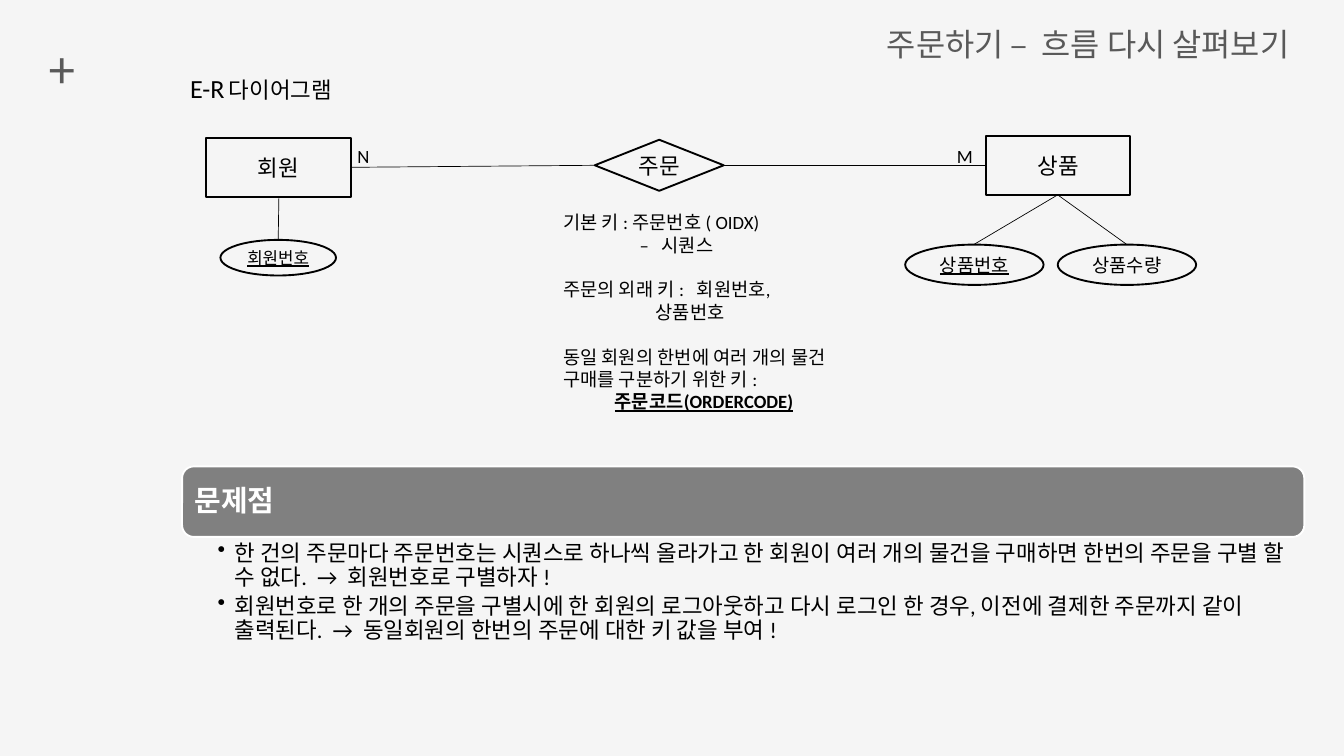
import pptx
import pptx.dml.color
import pptx.enum.shapes
import pptx.enum.text
import pptx.oxml
import pptx.oxml.ns
import pptx.util

RGBColor = pptx.dml.color.RGBColor
SHAPES = pptx.enum.shapes.MSO_SHAPE
ALIGN = pptx.enum.text.PP_ALIGN
ANCHOR = pptx.enum.text.MSO_ANCHOR

BACKGROUND = RGBColor(0xF5, 0xF5, 0xF5)
BLACK = RGBColor(0, 0, 0)
WHITE = RGBColor(0xFF, 0xFF, 0xFF)
GRAY = RGBColor(0x80, 0x80, 0x80)
TITLE_GRAY = RGBColor(0x59, 0x59, 0x59)
BODY_FONT = "Calibri"
TITLE_FONT = "Noto Sans CJK KR"

EMU_PER_PX = 9144  # 100 px to the inch

BULLETS = [
    "한 건의 주문마다 주문번호는 시퀀스로 하나씩 올라가고 한 회원이 여러 개의 물건을 "
    "구매하면 한번의 주문을 구별 할 수 없다.  →  회원번호로 구별하자 !",
    "회원번호로 한 개의 주문을 구별시에 한 회원의 로그아웃하고 다시 로그인 한 경우, "
    "이전에 결제한 주문까지 같이 출력된다.  →  동일회원의 한번의 주문에 대한 키 값을 부여 !",
]

# text, left indent in px, space before in points, emphasised
KEY_NOTES = [
    ("기본 키 : 주문번호 ( OIDX)", 0, 0, False),
    ("–   시퀀스", 114, 0, False),
    ("주문의 외래 키 :   회원번호,", 0, 24, False),
    ("상품번호", 138, 0, False),
    ("동일 회원의 한번에 여러 개의 물건 구매를 구분하기 위한 키 :", 0, 24, False),
    ("주문코드(ORDERCODE)", 77, 0, True),
]


def px(length):
    return pptx.util.Emu(length * EMU_PER_PX)


def write(paragraph, text, size=20, color=BLACK, font=BODY_FONT, bold=None,
          underline=None, align=None):
    """Add one formatted run to the paragraph."""
    if align is not None:
        paragraph.alignment = align
    run = paragraph.add_run()
    run.text = text
    run.font.size = pptx.util.Pt(size)
    run.font.color.rgb = color
    run.font.name = font
    run.font.bold = bold
    run.font.underline = underline
    east_asian = pptx.oxml.parse_xml(
        f'<a:ea {pptx.oxml.ns.nsdecls("a")} typeface="{font}"/>')
    run.font._element.find(pptx.oxml.ns.qn("a:latin")).addnext(east_asian)


def add_text_frame(slide, left, top, width, height, insets=(10, 5, 10, 5),
                   anchor=ANCHOR.TOP):
    box = slide.shapes.add_textbox(px(left), px(top), px(width), px(height))
    frame = box.text_frame
    frame.word_wrap = True
    frame.vertical_anchor = anchor
    (frame.margin_left, frame.margin_top,
     frame.margin_right, frame.margin_bottom) = map(px, insets)
    return frame


def next_paragraph(frame, index):
    return frame.paragraphs[0] if index == 0 else frame.add_paragraph()


def add_node(slide, kind, text, left, top, width, height, **text_format):
    """Add an outlined diagram shape with centred text."""
    shape = slide.shapes.add_shape(kind, px(left), px(top), px(width), px(height))
    shape.shadow.inherit = False
    shape.fill.background()
    shape.line.color.rgb = BLACK
    shape.line.width = pptx.util.Pt(2)
    shape.text_frame.vertical_anchor = ANCHOR.MIDDLE
    write(shape.text_frame.paragraphs[0], text, align=ALIGN.CENTER, **text_format)


def add_line(slide, x1, y1, x2, y2):
    line = slide.shapes.add_connector(
        pptx.enum.shapes.MSO_CONNECTOR.STRAIGHT, px(x1), px(y1), px(x2), px(y2))
    line.line.color.rgb = BLACK
    line.line.width = pptx.util.Pt(0.75)
    line._element.spPr.append(
        pptx.oxml.parse_xml(f'<a:effectLst {pptx.oxml.ns.nsdecls("a")}/>'))


def add_headings(slide):
    plus = add_text_frame(slide, 52, 60, 81, 134, insets=(10, 0, 10, 0))
    write(plus.paragraphs[0], "+", size=53, color=TITLE_GRAY, font=TITLE_FONT,
          align=ALIGN.CENTER)
    title = add_text_frame(slide, 1310, 32, 690, 67, insets=(10, 0, 10, 0),
                           anchor=ANCHOR.MIDDLE)
    write(title.paragraphs[0], "주문하기 –  흐름 다시 살펴보기", size=34,
          color=TITLE_GRAY, font=TITLE_FONT, align=ALIGN.JUSTIFY)
    subtitle = add_text_frame(slide, 273, 103, 262, 57).paragraphs[0]
    for text, size in (("E-R", 28), (" ", 20), ("다이어그램", 24)):
        write(subtitle, text, size=size)


def add_diagram(slide):
    for ends in ((522, 249, 885, 246), (1467, 246, 1076, 246),
                 (415, 293, 414, 357), (1574, 290, 1449, 364),
                 (1574, 290, 1677, 364)):
        add_line(slide, *ends)
    add_node(slide, SHAPES.RECTANGLE, "회원", 307, 205, 215, 88, size=24)
    add_node(slide, SHAPES.RECTANGLE, "상품", 1467, 202, 215, 88, size=24)
    add_node(slide, SHAPES.DIAMOND, "주문", 885, 208, 192, 76, size=24)
    add_node(slide, SHAPES.OVAL, "회원번호", 328, 357, 172, 53, size=18, underline=True)
    add_node(slide, SHAPES.OVAL, "상품번호", 1347, 364, 206, 60, underline=True)
    add_node(slide, SHAPES.OVAL, "상품수량", 1574, 364, 206, 60)
    for text, left, width in (("N", 522, 47), ("M", 1414, 51)):
        write(add_text_frame(slide, left, 210, width, 44).paragraphs[0], text)


def add_key_notes(slide):
    frame = add_text_frame(slide, 828, 309, 412, 310)
    for index, (text, indent, space_before, emphasised) in enumerate(KEY_NOTES):
        paragraph = next_paragraph(frame, index)
        paragraph._p.get_or_add_pPr().set("marL", str(px(indent)))
        if space_before:
            paragraph.space_before = pptx.util.Pt(space_before)
        write(paragraph, text, bold=emphasised, underline=emphasised)


def add_problem_section(slide):
    banner = slide.shapes.add_shape(
        SHAPES.ROUNDED_RECTANGLE, px(271), px(694), px(1670), px(105))
    banner.shadow.inherit = False
    banner.fill.solid()
    banner.fill.fore_color.rgb = GRAY
    banner.line.color.rgb = WHITE
    banner.line.width = pptx.util.Pt(2)
    heading = add_text_frame(slide, 277, 699, 1660, 95, insets=(13, 13, 13, 13),
                             anchor=ANCHOR.MIDDLE).paragraphs[0]
    heading.line_spacing = 0.9
    write(heading, "문제점", size=31, color=WHITE, bold=True)

    frame = add_text_frame(slide, 271, 802, 1670, 232, insets=(53, 4, 24, 4))
    for index, text in enumerate(BULLETS):
        paragraph = next_paragraph(frame, index)
        properties = paragraph._p.get_or_add_pPr()
        properties.set("marL", str(px(25)))
        properties.set("indent", str(px(-25)))
        properties.append(pptx.oxml.parse_xml(
            f'<a:buChar {pptx.oxml.ns.nsdecls("a")} char="•"/>'))
        paragraph.level = 1
        paragraph.line_spacing = 0.9
        paragraph.space_after = pptx.util.Pt(5)
        write(paragraph, text, size=24)


def main():
    presentation = pptx.Presentation()
    presentation.slide_width, presentation.slide_height = px(2000), px(1125)
    slide = presentation.slides.add_slide(presentation.slide_layouts[6])
    slide.background.fill.solid()
    slide.background.fill.fore_color.rgb = BACKGROUND
    add_headings(slide)
    add_diagram(slide)
    add_key_notes(slide)
    add_problem_section(slide)
    presentation.save("out.pptx")


if __name__ == "__main__":
    main()
